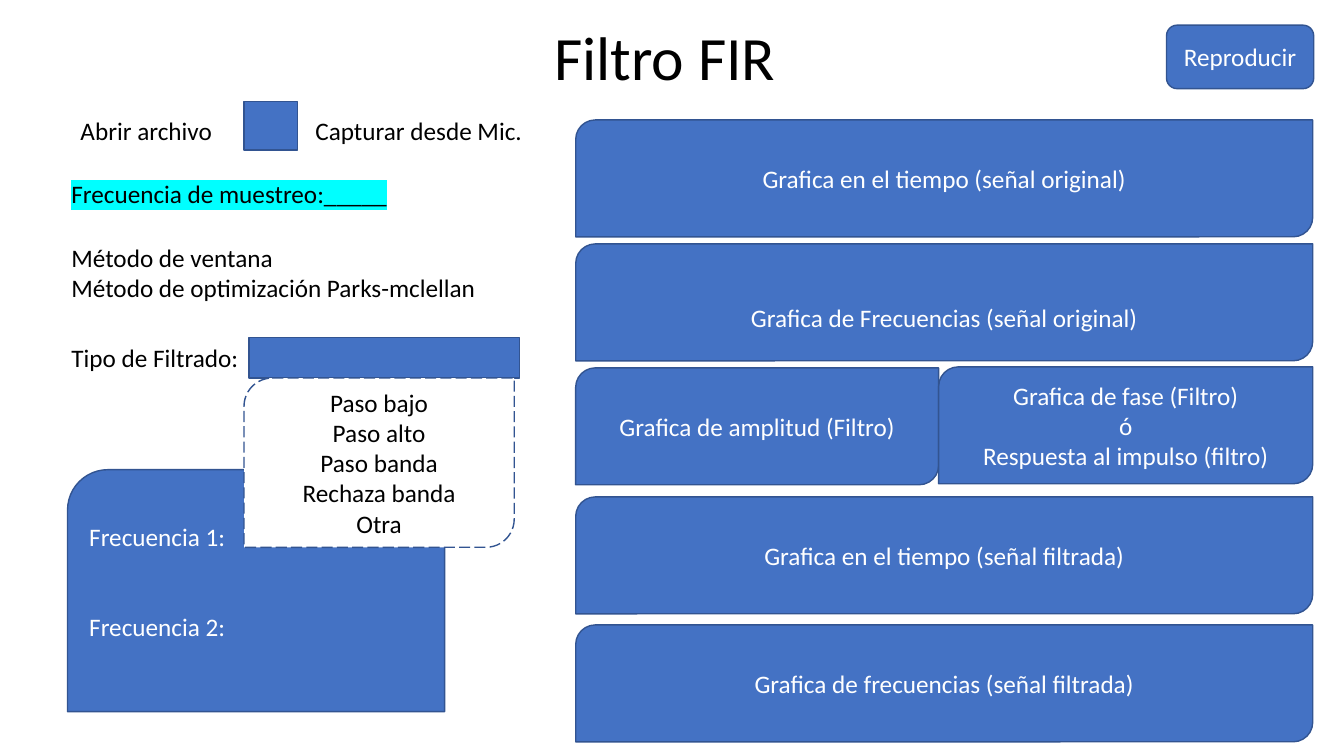
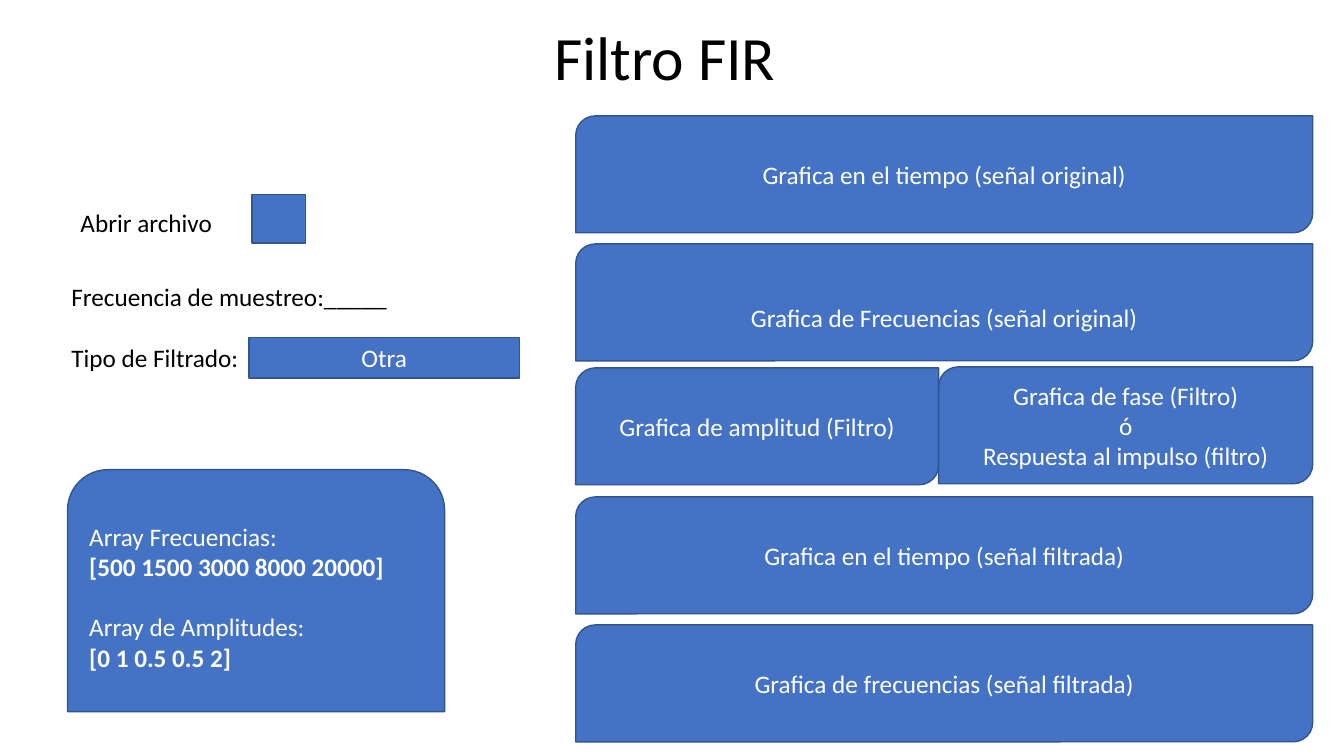
import pptx
import pptx.util
import pptx.dml.color
import pptx.enum.dml
import pptx.enum.shapes
import pptx.enum.text
import lxml.etree
from pptx.oxml.ns import qn

Inches = pptx.util.Inches
Pt = pptx.util.Pt
RGBColor = pptx.dml.color.RGBColor
FORM = pptx.enum.shapes.MSO_SHAPE
ALIGN = pptx.enum.text.PP_ALIGN

BLUE = RGBColor(0x44, 0x72, 0xC4)
EDGE = RGBColor(0x32, 0x54, 0x91)
WHITE = RGBColor(0xFF, 0xFF, 0xFF)
BLACK = RGBColor(0, 0, 0)
CYAN = RGBColor(0, 0xFF, 0xFF)
FONT = "Calibri"
LINE = 0.3


def write(frame, text, color, align=ALIGN.LEFT, size=18):
    frame.word_wrap = True
    frame.text = text
    for para in frame.paragraphs:
        para.alignment = align
        for run in para.runs:
            run.font.name = FONT
            run.font.size = Pt(size)
            run.font.color.rgb = color


def label(slide, text, left, top, width, height=0.4, **style):
    box = slide.shapes.add_textbox(*map(Inches, (left, top, width, height)))
    write(box.text_frame, text, BLACK, **style)
    return box.text_frame


def block(slide, form, box, text="", fill=BLUE, color=WHITE, align=ALIGN.CENTER):
    shape = slide.shapes.add_shape(form, *map(Inches, box))
    shape.shadow.inherit = False
    shape.fill.solid()
    shape.fill.fore_color.rgb = fill
    shape.line.color.rgb = EDGE
    shape.line.width = Pt(1)
    shape.text_frame.vertical_anchor = pptx.enum.text.MSO_ANCHOR.MIDDLE
    write(shape.text_frame, text, color, align)
    return shape


def mark(frame, color):
    for run in frame.paragraphs[0].runs:
        glow = lxml.etree.Element(qn("a:highlight"))
        lxml.etree.SubElement(glow, qn("a:srgbClr")).set("val", str(color))
        run.font._element.find(qn("a:latin")).addprevious(glow)


def title(slide):
    label(slide, "Filtro FIR ", 3.81, 0.14, 5.71, 0.84, align=ALIGN.CENTER, size=44)


def graphs(slide, left, top, width, first):
    high, split = 1.16, 3.6
    rows = [
        (0, first, width, "Grafica en el tiempo (señal original)"),
        (0, 1.27, width, "Grafica de Frecuencias (señal original)"),
        (0, 2.5, split, "Grafica de amplitud (Filtro)"),
        (split, 2.49, width - split, "Grafica de fase (Filtro)\nó\nRespuesta al impulso (filtro)"),
        (0, 3.78, width, "Grafica en el tiempo (señal filtrada)"),
        (0, 5.05, width, "Grafica de frecuencias (señal filtrada)"),
    ]
    cards = [block(slide, FORM.ROUND_2_DIAG_RECTANGLE, (left + x, top + y, wide, high), text)
             for x, y, wide, text in rows]
    cards[1].text_frame.margin_top = Inches(0.05 + LINE)


def source(slide, left, top, gap):
    block(slide, FORM.RECTANGLE, (left + gap, top - 0.1, 0.53, 0.48))
    label(slide, "Abrir archivo", left, top - 0.02, 2.33)


def rate(slide, left, top):
    return label(slide, "Frecuencia de muestreo:_____", left, top, 3.97)


def kind(slide, left, top, text=""):
    label(slide, "Tipo de Filtrado:", left, top, 2.68)
    block(slide, FORM.RECTANGLE, (left + 1.86, top, 2.68, 0.4), text)


def panel(slide, box, text, second, skip):
    frame = block(slide, FORM.ROUND_2_SAME_RECTANGLE, box, text, align=ALIGN.LEFT).text_frame
    frame.paragraphs[second].space_before = Inches(skip * LINE)
    return frame


def menu(slide, box):
    names = "Paso bajo\nPaso alto\nPaso banda\nRechaza banda\nOtra"
    shape = block(slide, FORM.ROUND_2_DIAG_RECTANGLE, box, names, WHITE, BLACK)
    shape.line.dash_style = pptx.enum.dml.MSO_LINE.LONG_DASH


def common(deck, first):
    slide = deck.slides.add_slide(deck.slide_layouts[6])
    title(slide)
    graphs(slide, 5.71, 1.15, 7.31, first)
    return slide


PANEL = (0.67, 4.66, 3.74, 2.4)


def basic(deck):
    slide = common(deck, 0.04)
    source(slide, 0.7, 1.11, 1.72)
    label(slide, "Capturar desde Mic.", 3.03, 1.09, 2.33)
    mark(rate(slide, 0.61, 1.72), CYAN)
    label(slide, "Método de ventana\nMétodo de optimización Parks-mclellan", 0.61, 2.35, 5.1, 0.71)
    kind(slide, 0.61, 3.35)
    frame = panel(slide, PANEL, "Frecuencia 1:\nFrecuencia 2:", 1, 2)
    frame.margin_bottom = Inches(0.05 + LINE)
    menu(slide, (2.42, 3.75, 2.68, 1.68))
    block(slide, FORM.ROUNDED_RECTANGLE, (11.57, 0.25, 1.46, 0.63), "Reproducir")


def other(deck):
    slide = common(deck, 0)
    source(slide, 0.7, 2.03, 1.8)
    rate(slide, 0.61, 2.74)
    kind(slide, 0.61, 3.35, "Otra")
    text = "Array Frecuencias:\n[500 1500 3000 8000 20000]\nArray de Amplitudes:\n[0 1 0.5 0.5 2]"
    frame = panel(slide, PANEL, text, 2, 1)
    for para in frame.paragraphs[1::2]:
        para.runs[0].font.bold = True


def main():
    deck = pptx.Presentation()
    deck.slide_width = Inches(13.33)
    deck.slide_height = Inches(7.5)
    basic(deck)
    other(deck)
    deck.save("out.pptx")


if __name__ == "__main__":
    main()
